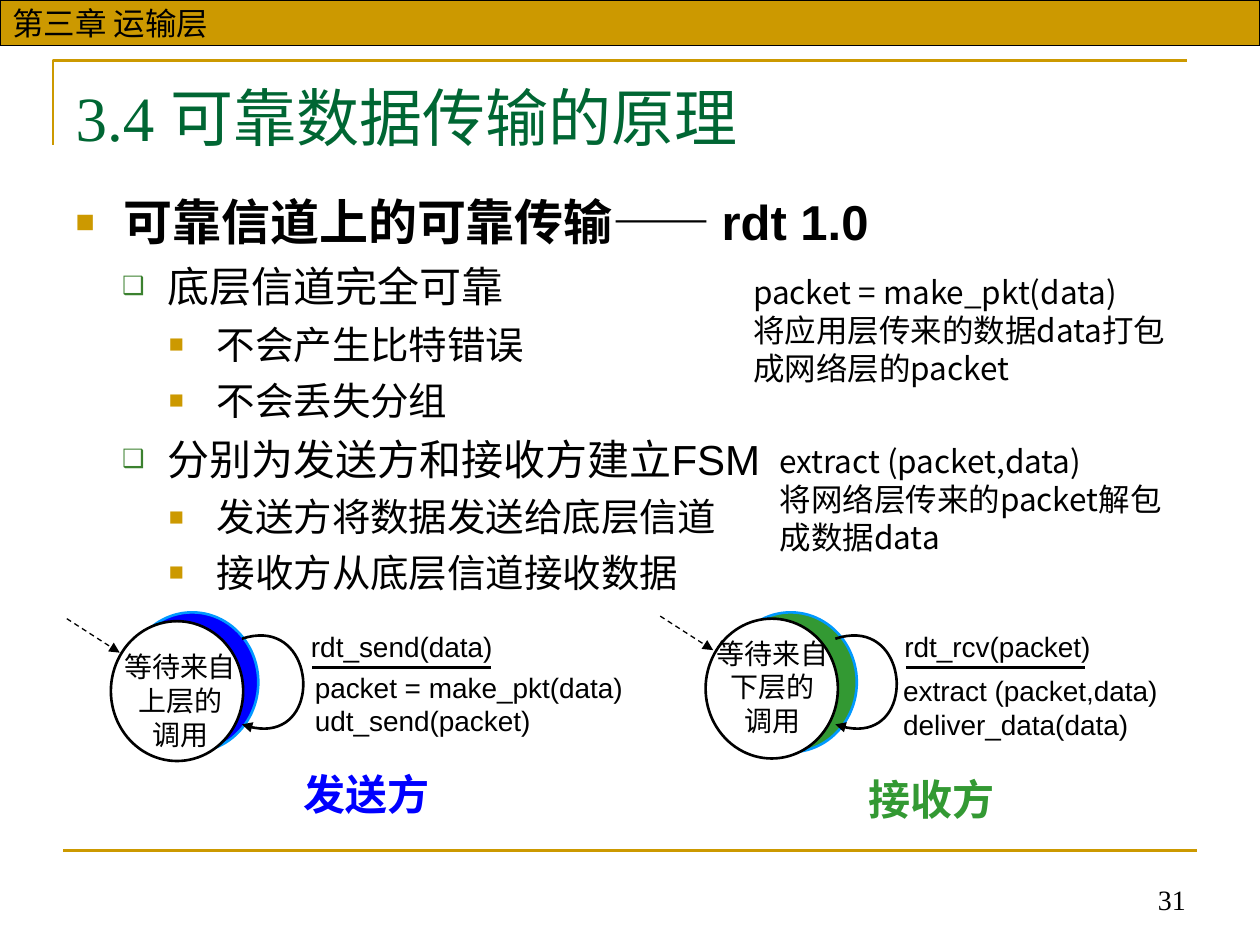
from pptx import Presentation
from pptx.dml.color import RGBColor
from pptx.enum.dml import MSO_LINE
from pptx.enum.shapes import MSO_CONNECTOR, MSO_SHAPE
from pptx.enum.text import MSO_ANCHOR, PP_ALIGN
from pptx.oxml.ns import qn
from pptx.util import Inches, Pt
from lxml import etree

STRAIGHT = MSO_CONNECTOR.STRAIGHT
RECTANGLE, OVAL = MSO_SHAPE.RECTANGLE, MSO_SHAPE.OVAL
DASH = MSO_LINE.DASH
LEFT, CENTER, RIGHT = PP_ALIGN.LEFT, PP_ALIGN.CENTER, PP_ALIGN.RIGHT
TOP, MIDDLE, BOTTOM = MSO_ANCHOR.TOP, MSO_ANCHOR.MIDDLE, MSO_ANCHOR.BOTTOM

GOLD = RGBColor(0xCC, 0x99, 0x00)
BLACK = RGBColor(0, 0, 0)
WHITE = RGBColor(0xFF, 0xFF, 0xFF)
TITLE_GREEN = RGBColor(0x00, 0x66, 0x33)
BLUE = RGBColor(0x00, 0x00, 0xFF)
GREEN = RGBColor(0x33, 0x99, 0x33)
SKY = RGBColor(0x00, 0x99, 0xFF)

presentation = Presentation()
presentation.slide_width, presentation.slide_height = Inches(10), Inches(7.5)
slide = presentation.slides.add_slide(presentation.slide_layouts[1])
shapes = slide.shapes


def add_text(left, top, width, height, lines, size=16, color=BLACK, font="Arial",
             bold=False, align=LEFT, anchor=TOP):
    box = shapes.add_textbox(Inches(left), Inches(top), Inches(width), Inches(height))
    frame = box.text_frame
    frame.word_wrap = True
    frame.vertical_anchor = anchor
    frame.text = "\n".join(lines)
    for paragraph in frame.paragraphs:
        paragraph.alignment = align
        paragraph.font.size, paragraph.font.name = Pt(size), font
        paragraph.font.bold, paragraph.font.color.rgb = bold, color


def add_line(start_x, start_y, end_x, end_y, color=BLACK, width=1.5):
    line = shapes.add_connector(STRAIGHT, Inches(start_x), Inches(start_y),
                                Inches(end_x), Inches(end_y))
    line.line.color.rgb, line.line.width = color, Pt(width)
    etree.SubElement(line._element.spPr, qn("a:effectLst"))
    return line


# Frame of the page
corner = shapes.build_freeform(Inches(0.42), Inches(1.15))
corner.add_line_segments([(Inches(0.42), Inches(0.48)), (Inches(9.42), Inches(0.48))],
                         close=False)
frame_corner = corner.convert_to_shape()
frame_corner.fill.background()
frame_corner.line.color.rgb, frame_corner.line.width = GOLD, Pt(1.5)
frame_corner.shadow.inherit = False
add_line(0.5, 6.75, 9.5, 6.75, GOLD)

banner = shapes.add_shape(RECTANGLE, 0, 0, Inches(10), Inches(0.36))
banner.shadow.inherit = False
banner.fill.solid()
banner.fill.fore_color.rgb = GOLD
banner.line.color.rgb, banner.line.width = BLACK, Pt(0.75)
banner.text_frame.vertical_anchor = MIDDLE
paragraph = banner.text_frame.paragraphs[0]
paragraph.text = "第三章 运输层"
paragraph.alignment = LEFT
paragraph.font.size, paragraph.font.name = Pt(18), "Arial"
paragraph.font.color.rgb = BLACK

add_text(6.34, 6.82, 3.17, 0.5, ["31"], font="Times New Roman", align=RIGHT, anchor=BOTTOM)

# Title
title = shapes.title
title.left, title.top, title.width, title.height = (
    Inches(0.5), Inches(0.54), Inches(9), Inches(0.77))
title.text_frame.vertical_anchor = MIDDLE
paragraph = title.text_frame.paragraphs[0]
paragraph.text = "3.4 可靠数据传输的原理"
paragraph.alignment = LEFT
paragraph.font.size, paragraph.font.name = Pt(36), "Times New Roman"
paragraph.font.color.rgb = TITLE_GREEN

# Outline; each level: size, space before, indent, hanging, bullet, colour, bullet percent
LEVELS = [
    (28, 7, 0.38, 0.38, "■", "CC9900", 65),
    (24, 6, 0.73, 0.36, "❑", "3B812F", 60),
    (22, 5.5, 1.12, 0.38, "■", "CC9900", 65),
]
OUTLINE = [
    (0, "可靠信道上的可靠传输—— rdt 1.0"),
    (1, "底层信道完全可靠"),
    (2, "不会产生比特错误"),
    (2, "不会丢失分组"),
    (1, "分别为发送方和接收方建立FSM"),
    (2, "发送方将数据发送给底层信道"),
    (2, "接收方从底层信道接收数据"),
]
body = slide.placeholders[1]
body.left, body.top, body.width, body.height = (
    Inches(0.5), Inches(1.47), Inches(9), Inches(3.31))
body.text_frame.text = "\n".join(text for _, text in OUTLINE)
for index, (paragraph, (level, _)) in enumerate(zip(body.text_frame.paragraphs, OUTLINE)):
    size, space, indent, hanging, bullet, bullet_color, percent = LEVELS[level]
    paragraph.level = level
    properties = paragraph._p.get_or_add_pPr()
    properties.set("marL", str(Inches(indent)))
    properties.set("indent", str(-Inches(hanging)))
    color = etree.SubElement(properties, qn("a:buClr"))
    etree.SubElement(color, qn("a:srgbClr"), val=bullet_color)
    etree.SubElement(properties, qn("a:buSzPct"), val=str(percent * 1000))
    etree.SubElement(properties, qn("a:buChar"), char=bullet)
    paragraph.space_before = Pt(space if index else 0)
    paragraph.font.size, paragraph.font.name = Pt(size), "Arial"
    paragraph.font.bold, paragraph.font.color.rgb = level == 0, BLACK

# State machines: the positions of each one's halo, state, state text, event, action and label
MACHINES = [
    dict(x=0.53, y=4.91, color=BLUE, halo=1.0, state=(0.88, 4.93), wait=(0.83, 5.11),
         waiting="等待来自上层的", event="rdt_send(data)", action=(2.4, 5.27),
         actions=["packet = make_pkt(data)", "udt_send(packet)"],
         label=(2.21, 6.05), name="发送方"),
    dict(x=5.24, y=4.89, color=GREEN, halo=5.75, state=(5.6, 4.91), wait=(5.53, 5.0),
         waiting="等待来自下层的", event="rdt_rcv(packet)", action=(7.07, 5.3),
         actions=["extract (packet,data)", "deliver_data(data)"],
         label=(6.69, 6.09), name="接收方"),
]
CURVE_STEPS = 40
for machine in MACHINES:
    x, y = machine["x"], machine["y"]
    for (left, top), fill, outline in (((machine["halo"], 4.86), machine["color"], SKY),
                                       (machine["state"], WHITE, BLACK)):
        circle = shapes.add_shape(OVAL, Inches(left), Inches(top), Inches(1.05), Inches(1.11))
        circle.shadow.inherit = False
        circle.fill.solid()
        circle.fill.fore_color.rgb = fill
        circle.line.color.rgb, circle.line.width = outline, Pt(1.5)
    add_text(*machine["wait"], 1.2, 1, [machine["waiting"], "调用"], align=CENTER)

    # The loop back to the state is a cubic curve, drawn in short steps
    control = [(x + 1.39, 5.07), (x + 2.02, 4.86), (x + 2.06, 5.99), (x + 1.39, 5.75)]
    points = []
    for step in range(CURVE_STEPS + 1):
        t = step / CURVE_STEPS
        weights = ((1 - t) ** 3, 3 * t * (1 - t) ** 2, 3 * t ** 2 * (1 - t), t ** 3)
        points.append([Inches(sum(w * point[axis] for w, point in zip(weights, control)))
                       for axis in (0, 1)])
    builder = shapes.build_freeform(*points[0])
    builder.add_line_segments(points[1:], close=False)
    loop = builder.convert_to_shape()
    loop.shadow.inherit = False
    loop.fill.background()
    loop.line.color.rgb, loop.line.width = BLACK, Pt(1.5)

    entry = add_line(x, y, x + 0.42, y + 0.27, width=0.75)
    entry.line.dash_style = DASH
    for arrow in (loop, entry):
        etree.SubElement(arrow.line._get_or_add_ln(), qn("a:tailEnd"), type="triangle")

    add_text(x + 1.84, 4.95, 2.47, 0.47, [machine["event"]])
    add_line(x + 1.95, 5.3, x + 3.37, 5.3)
    add_text(*machine["action"], 2.8, 0.65, machine["actions"])
    add_text(*machine["label"], 1.4, 0.5, [machine["name"]], 24, machine["color"],
             bold=True, align=CENTER)

# Explanations of the two functions
NOTE_FONT = "Noto Sans CJK SC"
add_text(5.88, 2.12, 3.67, 1,
         ["packet = make_pkt(data)", "将应用层传来的数据data打包", "成网络层的packet"],
         18, font=NOTE_FONT)
add_text(6.09, 3.46, 3.47, 1,
         ["extract (packet,data)", "将网络层传来的packet解包", "成数据data"],
         18, font=NOTE_FONT)

presentation.save("out.pptx")
